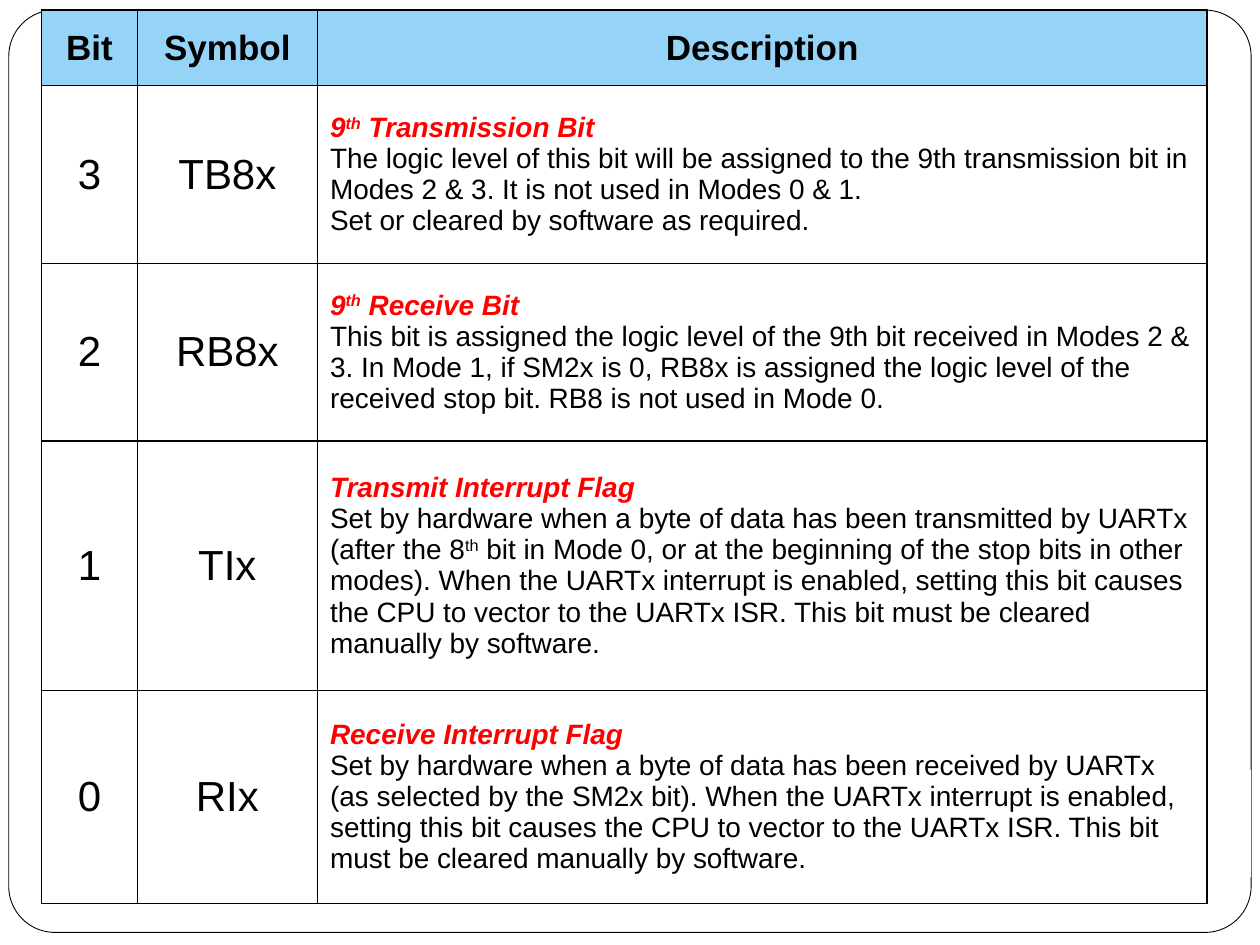
import pptx
import pptx.dml.color
import pptx.enum.shapes
import pptx.enum.text
import pptx.oxml
import pptx.oxml.ns
import pptx.util

Inches = pptx.util.Inches
Pt = pptx.util.Pt
SHAPES = pptx.enum.shapes.MSO_SHAPE
ALIGN = pptx.enum.text.PP_ALIGN

BLACK, WHITE, RED, SKY = "000000", "FFFFFF", "FF0000", "95D4F7"
COLS = [0.76, 1.43, 7.06]
ROWS = [0.6, 1.41, 1.41, 1.98, 1.69]
HEADS = ["Bit", "Symbol", "Description"]
# Text between carets is superscript.
BITS = [
    ("3", "TB8x", "9^th^ Transmission Bit", [
        "The logic level of this bit will be assigned to the 9th transmission "
        "bit in Modes 2 & 3. It is not used in Modes 0 & 1.",
        "Set or cleared by software as required."]),
    ("2", "RB8x", "9^th^ Receive Bit", [
        "This bit is assigned the logic level of the 9th bit received in Modes "
        "2 & 3. In Mode 1, if SM2x is 0, RB8x is assigned the logic level of "
        "the received stop bit. RB8 is not used in Mode 0."]),
    ("1", "TIx", "Transmit Interrupt Flag", [
        "Set by hardware when a byte of data has been transmitted by UARTx "
        "(after the 8^th^ bit in Mode 0, or at the beginning of the stop bits "
        "in other modes). When the UARTx interrupt is enabled, setting this "
        "bit causes the CPU to vector to the UARTx ISR. This bit must be "
        "cleared manually by software."]),
    ("0", "RIx", "Receive Interrupt Flag", [
        "Set by hardware when a byte of data has been received by UARTx (as "
        "selected by the SM2x bit). When the UARTx interrupt is enabled, "
        "setting this bit causes the CPU to vector to the UARTx ISR. This bit "
        "must be cleared manually by software."]),
]


def color(code):
    return pptx.dml.color.RGBColor.from_string(code)


def write(para, text, size=16, ink=BLACK, bold=False, slant=False,
          align=ALIGN.LEFT):
    """Fill a paragraph; text between carets is raised."""
    para.alignment = align
    for i, part in enumerate(text.split("^")):
        run = para.add_run()
        run.text = part
        font = run.font
        font.name, font.size = "Arial", Pt(size)
        font.bold, font.italic = bold, slant
        font.color.rgb = color(ink)
        if i % 2:
            font._element.set("baseline", "30000")


def add_box(slide, kind, box, line=None):
    shape = slide.shapes.add_shape(kind, *map(Inches, box))
    shape.shadow.inherit = False
    shape.fill.solid()
    shape.fill.fore_color.rgb = color(WHITE)
    if line:
        shape.line.color.rgb = color(line)
        shape.line.width = Pt(0.5)
    else:
        shape.line.fill.background()
    return shape


def add_frame(slide, box):
    """Rounded page border with a white patch over its right edge."""
    left, top, width, height = box
    frame = add_box(slide, SHAPES.ROUNDED_RECTANGLE, box, BLACK)
    frame.adjustments[0] = 0.05
    patch = (left + width - 1.79, top + 6.03, 1.79, 0.85)
    add_box(slide, SHAPES.RECTANGLE, patch)


def set_cell(cell, fill=None):
    cell.vertical_anchor = pptx.enum.text.MSO_ANCHOR.MIDDLE
    cell.margin_left = cell.margin_right = Inches(0.1)
    cell.margin_top = cell.margin_bottom = Inches(0.1)
    props = cell._tc.get_or_add_tcPr()
    for side in ("lnL", "lnR", "lnT", "lnB"):
        props.append(pptx.oxml.parse_xml(
            f'<a:{side} {pptx.oxml.ns.nsdecls("a")} w="{Pt(1)}"><a:solidFill>'
            f'<a:srgbClr val="{BLACK}"/></a:solidFill></a:{side}>'))
    if fill:
        cell.fill.solid()
        cell.fill.fore_color.rgb = color(fill)
    else:
        cell.fill.background()


def add_grid(slide, left, top):
    size = (left, top, sum(COLS), sum(ROWS))
    table = slide.shapes.add_table(
        len(ROWS), len(COLS), *map(Inches, size)).table
    table.first_row = table.horz_banding = False
    for col, width in zip(table.columns, COLS):
        col.width = Inches(width)
    for row, height in zip(table.rows, ROWS):
        row.height = Inches(height)

    for cell, head in zip(table.rows[0].cells, HEADS):
        set_cell(cell, SKY)
        write(cell.text_frame.paragraphs[0], head, size=20, bold=True,
              align=ALIGN.CENTER)
    for r, (bit, symbol, title, lines) in enumerate(BITS, 1):
        for c in range(len(COLS)):
            set_cell(table.cell(r, c))
        for c, text in enumerate((bit, symbol)):
            write(table.cell(r, c).text_frame.paragraphs[0], text, size=24,
                  align=ALIGN.CENTER)
        frame = table.cell(r, 2).text_frame
        write(frame.paragraphs[0], title, ink=RED, bold=True, slant=True)
        for line in lines:
            write(frame.add_paragraph(), line)


def main():
    deck = pptx.Presentation()
    deck.slide_width, deck.slide_height = Inches(10), Inches(7.5)
    slide = deck.slides.add_slide(deck.slide_layouts[6])
    add_frame(slide, (0.07, 0.08, 9.86, 7.32))
    add_grid(slide, 0.33, 0.08)
    deck.save("out.pptx")


if __name__ == "__main__":
    main()
